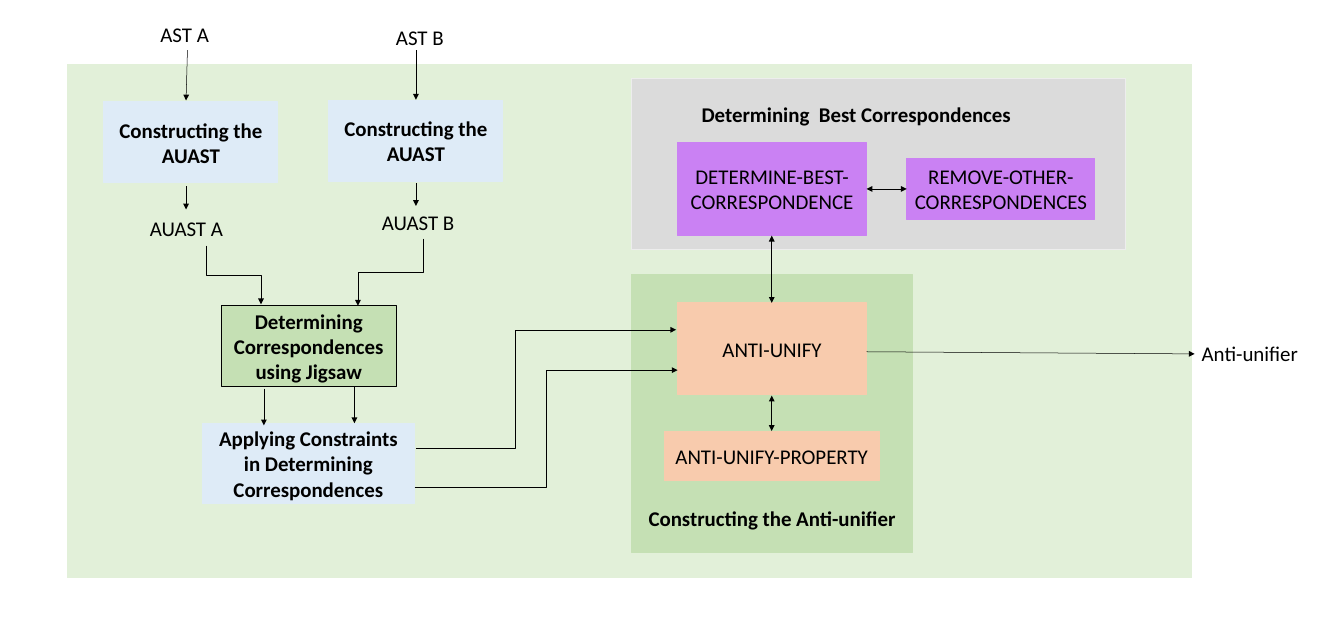
"""Build a one-slide flow diagram of anti-unifying two syntax trees."""
from dataclasses import dataclass

from lxml.etree import SubElement
from pptx import Presentation
from pptx.dml.color import RGBColor
from pptx.enum.shapes import MSO_CONNECTOR, MSO_SHAPE
from pptx.enum.text import MSO_ANCHOR, PP_ALIGN
from pptx.oxml.ns import qn
from pptx.util import Inches, Pt


@dataclass(frozen=True)
class Theme:
    font: str = "Calibri"
    size: float = 21.3
    ink: str = "000000"
    paper: str = "FFFFFF"
    frame: str = "E2F0D9"
    green: str = "C5E0B4"
    blue: str = "DEEBF7"
    grey: str = "DBDBDB"
    grey_edge: str = "EDEDED"
    purple: str = "CA81F3"
    peach: str = "F8CBAD"
    border: float = 1
    arrow: float = 0.5


T = Theme()
prs = Presentation()
prs.slide_width, prs.slide_height = Inches(19), Inches(9)
COL, ROW = prs.slide_width / 190, prs.slide_height / 90
s = prs.slides.add_slide(prs.slide_layouts[6])
s.background.fill.solid()
s.background.fill.fore_color.rgb = RGBColor.from_string(T.paper)


def box(x, y, w, h, text="", fill=None, edge=None, bold=False, align=PP_ALIGN.CENTER):
    at = [round(v) for v in (x * COL, y * ROW, w * COL, h * ROW)]
    if fill:
        sp = s.shapes.add_shape(MSO_SHAPE.RECTANGLE, *at)
        sp.shadow.inherit = False
        sp.fill.solid()
        sp.fill.fore_color.rgb = RGBColor.from_string(fill)
        sp.line.color.rgb = RGBColor.from_string(edge or fill)
        sp.line.width = Pt(T.border)
    else:
        sp = s.shapes.add_textbox(*at)
    tf = sp.text_frame
    tf.word_wrap = True
    tf.vertical_anchor = MSO_ANCHOR.MIDDLE if fill else MSO_ANCHOR.TOP
    if text:
        p = tf.paragraphs[0]
        p.text, p.alignment = text, align
        p.font.name, p.font.size, p.font.bold = T.font, Pt(T.size), bold
        p.font.color.rgb = RGBColor.from_string(T.ink)


def link(x1, y1, x2, y2, both=False, bend=None, down=False):
    kind = MSO_CONNECTOR.ELBOW if bend else MSO_CONNECTOR.STRAIGHT
    dx, dy = x2 - x1, y2 - y1
    if down:
        cx, cy = (x1 + x2) / 2, (y1 + y2) / 2
        x1, y1, x2, y2 = cx - dy / 2, cy + dx / 2, cx + dy / 2, cy - dx / 2
    c = s.shapes.add_connector(
        kind, round(x1 * COL), round(y1 * ROW), round(x2 * COL), round(y2 * ROW))
    c.line.color.rgb = RGBColor.from_string(T.ink)
    c.line.width = Pt(T.arrow)
    pr = c._element.spPr
    if down:
        pr.find(qn("a:xfrm")).set("rot", "5400000")
    if bend:
        guides = pr.find(qn("a:prstGeom")).get_or_add_avLst()
        SubElement(guides, qn("a:gd"), name="adj1", fmla=f"val {round(bend * 100000)}")
    for end in ("headEnd", "tailEnd") if both else ("tailEnd",):
        SubElement(c.line._get_or_add_ln(), qn(f"a:{end}"), type="triangle")
    SubElement(pr, qn("a:effectLst"))


box(9.5, 9.1, 159, 72.5, fill=T.frame)
box(89.3, 11.1, 69.8, 24.1, fill=T.grey, edge=T.grey_edge)
box(89.3, 38.8, 39.7, 39.2, fill=T.green)

for x, y, text in (
    (14.7, 14.4, "Constructing the AUAST"),
    (46.5, 14.2, "Constructing the AUAST"),
):
    box(x, y, 24.6, 11.4, text, T.blue, bold=True)
box(31.3, 43.1, 24.7, 11.5, "Determining Correspondences using Jigsaw", T.green, T.ink, True)
box(28.6, 59.8, 30, 11.4, "Applying Constraints in Determining Correspondences", T.blue, bold=True)

for x, y, w, h, text, fill in (
    (95.8, 20.1, 26.7, 13.2, "DETERMINE-BEST-CORRESPONDENCE", T.purple),
    (128.2, 22.4, 26.6, 8.6, "REMOVE-OTHER-CORRESPONDENCES", T.purple),
    (95.8, 42.8, 26.7, 13, "ANTI-UNIFY", T.peach),
    (93.9, 60.9, 30.4, 7, "ANTI-UNIFY-PROPERTY", T.peach),
):
    box(x, y, w, h, text, fill)

box(92.5, 13.8, 57.1, 4.6, "Determining  Best Correspondences", bold=True)
box(90.1, 71, 38.1, 4.6, "Constructing the Anti-unifier", bold=True)

for x, y, w, text in (
    (21.7, 2.5, 10, "AST A"),
    (55, 3, 10, "AST B"),
    (20.2, 29.9, 13.9, "AUAST A"),
    (53, 29.1, 13.9, "AUAST B"),
    (168.9, 47.7, 17.7, "Anti-unifier"),
):
    box(x, y, w, 4.6, text, align=PP_ALIGN.LEFT)

for ends in (
    (26.5, 7.1, 26.3, 14.2),
    (58.8, 7.1, 58.8, 14.1),
    (26.3, 26.3, 26.3, 29.6),
    (58.8, 25.9, 58.8, 29.1),
    (37.3, 54.9, 37.3, 60.1),
    (50.1, 54.7, 50.1, 59.8),
    (122.5, 49.7, 168.9, 50),
):
    link(*ends)

for ends in (
    (122.5, 26.7, 128.2, 26.7),
    (109.1, 33.3, 109.1, 42.8),
    (109.1, 55.9, 109.1, 60.9),
):
    link(*ends, both=True)

link(29.2, 34.7, 36.9, 43, bend=0.5, down=True)
link(59.9, 33.7, 50.6, 43.2, bend=0.5, down=True)
link(58.8, 63.3, 95.6, 46.6, bend=0.38)
link(58.6, 68.8, 95.8, 52.3, bend=0.5)

prs.save("out.pptx")
